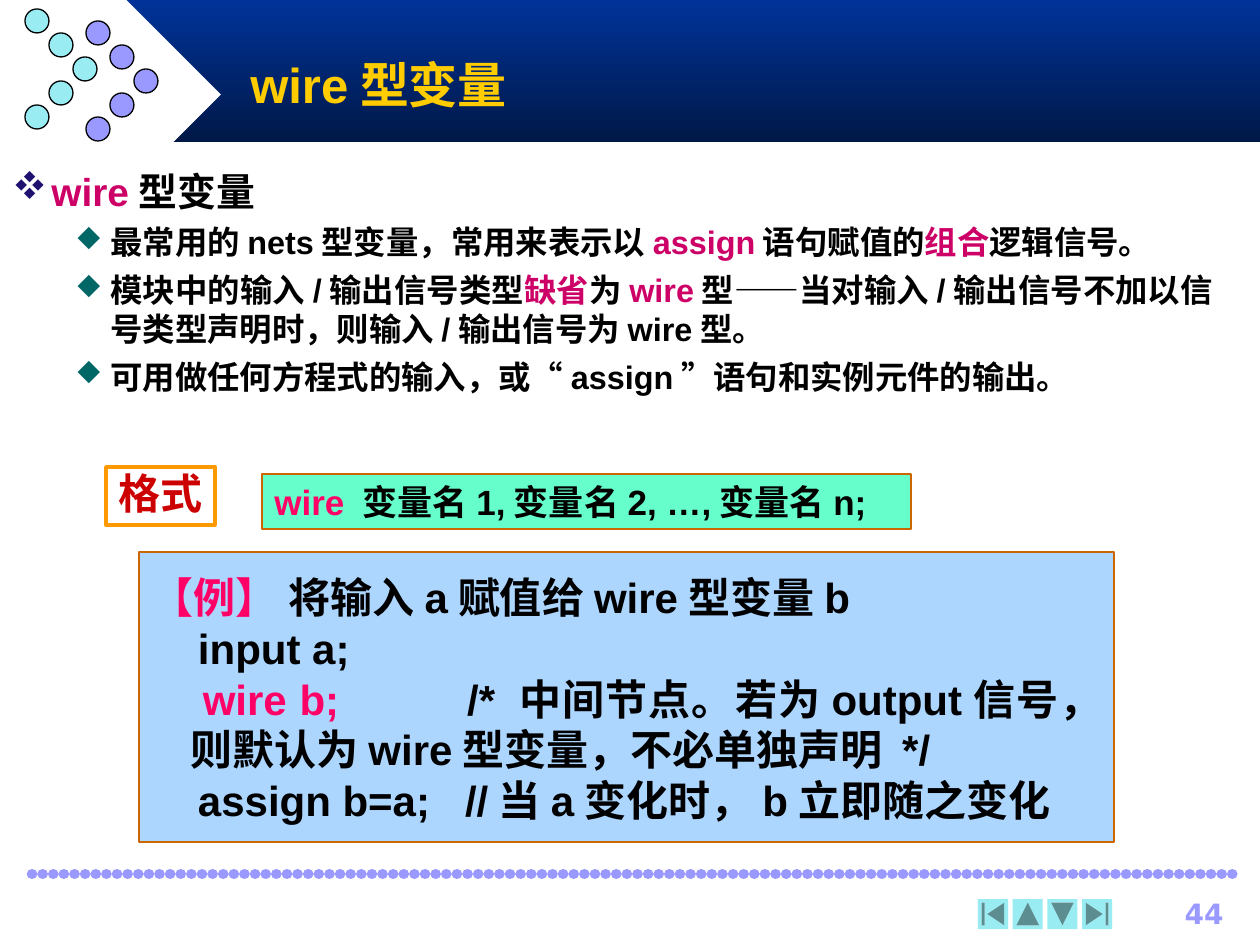
from lxml.etree import SubElement
from pptx import Presentation
from pptx.dml.color import RGBColor as RGB
from pptx.enum.shapes import MSO_CONNECTOR as Link, MSO_SHAPE as Kind
from pptx.enum.text import MSO_ANCHOR as Anchor, PP_ALIGN as Align
from pptx.oxml.ns import qn
from pptx.util import Pt

PX = 914400 / 126

BLACK, WHITE = RGB(0, 0, 0), RGB(255, 255, 255)
NAVY, NIGHT = RGB(0x00, 0x33, 0x99), RGB(0x00, 0x18, 0x47)
LILAC, CYAN = RGB(0x99, 0x99, 0xFF), RGB(0x98, 0xEC, 0xF2)
GOLD, ORANGE, RUST = RGB(0xFF, 0xCC, 0), RGB(0xFF, 0x99, 0), RGB(0xCC, 0x66, 0)
ROSE, PINK, RED = RGB(0xCC, 0, 0x66), RGB(0xFF, 0, 0x66), RGB(0xCC, 0, 0)
MINT, SKY = RGB(0x66, 0xFF, 0xCC), RGB(0xAD, 0xD6, 0xFF)
INDIGO, TEAL = RGB(0x1E, 0x11, 0x6F), RGB(0x00, 0x66, 0x66)

SANS, CJK = "Arial", "Noto Sans CJK SC"

# A run is (text, colour) with an optional font and size.
TITLE = [("wire型变量", GOLD)]
HEAD = [("wire", ROSE), ("型变量", BLACK)]
POINTS = [
    [("最常用的nets型变量，常用来表示以", BLACK), ("assign", ROSE),
     ("语句赋值的", BLACK), ("组合", ROSE), ("逻辑信号。", BLACK)],
    [("模块中的输入/输出信号类型", BLACK), ("缺省", ROSE), ("为", BLACK),
     ("wire", ROSE),
     ("型——当对输入/输出信号不加以信号类型声明时，则输入/输出信号为wire型。", BLACK)],
    [("可用做任何方程式的输入，或“assign”语句和实例元件的输出。", BLACK)],
]
LABEL = [("格式", RED)]
SYNTAX = [("wire ", PINK), ("变量名1,", BLACK), ("变量", BLACK, CJK),
          ("名2, …,", BLACK), ("变量", BLACK, CJK), ("名n;", BLACK)]
SAMPLE = [
    [("【例】", PINK, "Times New Roman"), (" ", BLACK, SANS, 28),
     ("将输入a赋值给wire型变量b", BLACK)],
    [("    input a;", BLACK)],
    [("    ", BLACK), ("wire b;", PINK),
     ("          /* 中间节点。若为output信号，则默认为wire型变量，不必单独声明 */", BLACK)],
    [("    assign b=a;   //当a变化时，b立即随之变化", BLACK)],
]
# Wingdings letter, colour, size in percent: v is a star, u is a diamond.
STAR = ("v", INDIGO, 100)
GEM = ("u", TEAL, 85)
BUTTONS = [(Kind.ACTION_BUTTON_BEGINNING, 0),
           (Kind.ACTION_BUTTON_BACK_OR_PREVIOUS, 90),
           (Kind.ACTION_BUTTON_FORWARD_OR_NEXT, 90),
           (Kind.ACTION_BUTTON_END, 0)]


def px(*nums):
    return [round(n * PX) for n in nums]


def draw(kind, box, fill=None, edge=None, width=0.75):
    shape = slide.shapes.add_shape(kind, *px(*box))
    shape.shadow.inherit = False
    if fill is None:
        shape.fill.background()
    else:
        shape.fill.solid()
        shape.fill.fore_color.rgb = fill
    if edge is None:
        shape.line.fill.background()
    else:
        shape.line.color.rgb = edge
        shape.line.width = Pt(width)
    return shape


def frame(shape, anchor=Anchor.TOP, wrap=True):
    text = shape.text_frame
    text.word_wrap, text.vertical_anchor = wrap, anchor
    return text


def area(*box, anchor=Anchor.TOP):
    return frame(slide.shapes.add_textbox(*px(*box)), anchor)


def write(text, runs, size, font=SANS, align=Align.LEFT, left=0, hang=0,
          mark=None, lines=None, above=0):
    """Fill the empty first paragraph, or add one more; left and hang are px."""
    para = text.paragraphs[0]
    if para.runs:
        para = text.add_paragraph()
        para.space_before = Pt(above)
    props = para._p.get_or_add_pPr()
    if hang:
        props.set("marL", str(px(left)[0]))
        props.set("indent", str(px(-hang)[0]))
    if mark:
        sign, tint, scale = mark
        SubElement(SubElement(props, qn("a:buClr")), qn("a:srgbClr"), val=str(tint))
        SubElement(props, qn("a:buSzPct"), val=str(scale * 1000))
        SubElement(props, qn("a:buFont"), typeface="Wingdings", charset="2")
        SubElement(props, qn("a:buChar"), char=sign)
    para.alignment = align
    if lines:
        para.line_spacing = lines
    para.font.size, para.font.name, para.font.bold = Pt(size), font, True
    for words, color, *rest in runs:
        run = para.add_run()
        run.text = words
        run.font.color.rgb = color
        if rest:
            run.font.name = rest[0]
        if len(rest) > 1:
            run.font.size = Pt(rest[1])


deck = Presentation()
deck.slide_width, deck.slide_height = px(1260, 945)
slide = deck.slides.add_slide(deck.slide_layouts[6])

# Banner
band = draw(Kind.RECTANGLE, (126, 0, 1134, 142), NAVY)
band.fill.gradient()
band.fill.gradient_angle = 270
for stop, color in zip(band.fill.gradient_stops, (NAVY, NIGHT)):
    stop.color.rgb = color
draw(Kind.DIAMOND, (32, 0, 189, 189), WHITE)
for left, top, color in ((86, 21, LILAC), (25, 9, CYAN)):
    for row in range(5):
        step = 2 - abs(row - 2)
        draw(Kind.OVAL, (left + 24 * step, top + 24 * row, 24, 24), color, BLACK)
write(area(238, 37, 1071, 93, anchor=Anchor.MIDDLE), TITLE, 28)

# Footer: a row of touching round dots
rule = slide.shapes.add_connector(Link.STRAIGHT, *px(32, 874, 1239, 874))
rule.line.color.rgb, rule.line.width = LILAC, Pt(6)
ln = rule.line._get_or_add_ln()
ln.set("cap", "rnd")
SubElement(SubElement(ln, qn("a:custDash")), qn("a:ds"), d="100000", sp="1000")
SubElement(rule._element.spPr, qn("a:effectLst"))
for col, (kind, turn) in enumerate(BUTTONS):
    draw(kind, (978 + 34.7 * col, 899, 30, 30), CYAN).rotation = turn
write(area(1116, 890, 120, 42), [("44", LILAC)], 16, "DejaVu Sans", Align.RIGHT)

# Bullets
body = area(0, 161, 1225, 277)
write(body, HEAD, 22.2, align=Align.JUSTIFY, left=39, hang=39, mark=STAR)
for point in POINTS:
    write(body, point, 18.5, align=Align.JUSTIFY, left=98, hang=35, mark=GEM,
          above=5)

# Syntax and example
syntax = draw(Kind.RECTANGLE, (262, 474, 649, 55), MINT, RUST)
write(frame(syntax, Anchor.BOTTOM), SYNTAX, 20, align=Align.JUSTIFY)
label = draw(Kind.RECTANGLE, (106, 467, 109, 58), None, ORANGE, 2)
write(frame(label, wrap=False), LABEL, 24, "Noto Sans CJK JP", lines=0.9)
sample = frame(draw(Kind.RECTANGLE, (139, 552, 975, 290), SKY, RUST))
for row, line in enumerate(SAMPLE):
    write(sample, line, 24, align=Align.JUSTIFY, left=39, hang=39,
          lines=None if row else 1.1)

deck.save("out.pptx")
